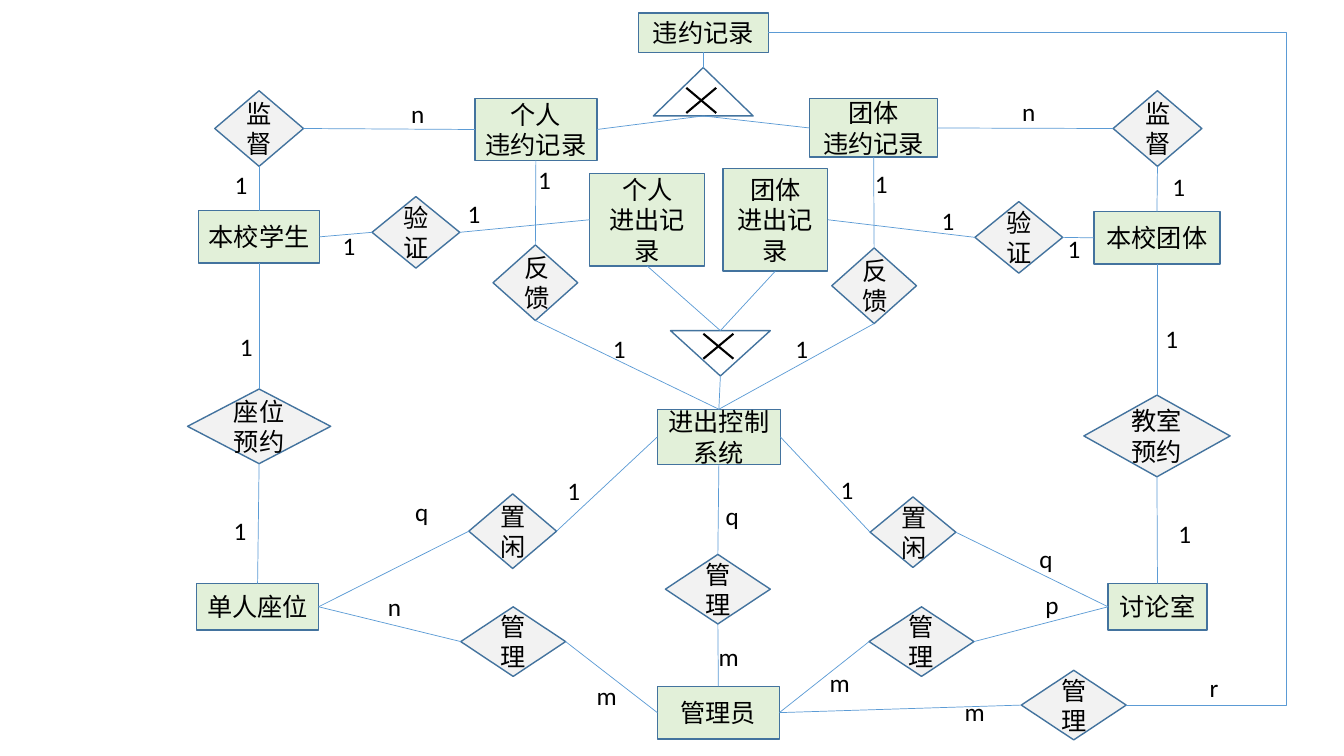
from collections import namedtuple
from lxml import etree
from pptx import Presentation
from pptx import util as u
from pptx.dml.color import RGBColor
from pptx.enum import shapes, text
from pptx.oxml import ns

Box = namedtuple("Box", "left top cell")
KIND = shapes.MSO_SHAPE
TOP, LEFT, BOTTOM, RIGHT = range(4)
ENTITY, RELATION, OUTLINE, LINK, INK = "E2F0D9", "F2F2F2", "43739E", "5B9BD5", "000000"
FONT = {"size": u.Pt(18), "name": "Calibri"}


def colour(fill, hex_value):
    """Make a fill solid in the given colour."""
    fill.solid()
    fill.fore_color.rgb = RGBColor.from_string(hex_value)


def frame(box, x, y, width, height):
    """Turn grid columns and rows inside a box into slide lengths."""
    cells = box.left + x, box.top + y, width, height
    return [u.Inches(cell * box.cell) for cell in cells]


def write(text_frame, words, align):
    """Write lines of text in the diagram's font."""
    text_frame.text = words
    for paragraph in text_frame.paragraphs:
        paragraph.alignment = align
        for key, value in FONT.items():
            setattr(paragraph.font, key, value)
        colour(paragraph.font.fill, INK)


def node(slide, box, kind, fill, words, place):
    """Draw one outlined node of the diagram."""
    part = slide.shapes.add_shape(kind, *frame(box, *place))
    part.shadow.inherit = False
    part.line.width = u.Pt(1)
    colour(part.line.fill, OUTLINE)
    if fill:
        colour(part.fill, fill)
    else:
        part.fill.background()
    if words:
        write(part.text_frame, words, text.PP_ALIGN.CENTER)
    return part


def line(slide, ends, hex_value, points, kind=shapes.MSO_CONNECTOR.STRAIGHT):
    """Draw a flat connector between two points."""
    stroke = slide.shapes.add_connector(kind, *ends)
    stroke.line.width = u.Pt(points)
    colour(stroke.line.fill, hex_value)
    etree.SubElement(stroke._element.spPr, ns.qn("a:effectLst"))
    return stroke


def link(slide, start, start_side, end, end_side, kind=shapes.MSO_CONNECTOR.STRAIGHT):
    """Join two nodes at the given sides."""
    stroke = line(slide, (0, 0, 0, 0), LINK, 0.5, kind)
    stroke.begin_connect(start, start_side)
    stroke.end_connect(end, end_side)
    return stroke


def exclusive(slide, box, kind, place, cross_top, cross_bottom):
    """Draw an exclusive-choice triangle with its cross."""
    x, y, width, height = place
    triangle = node(slide, box, kind, None, "", place)
    left, right = x + 0.33 * width, x + 0.63 * width
    upper, lower = y + cross_top * height, y + cross_bottom * height
    for first, last in ((upper, lower), (lower, upper)):
        ends = frame(box, left, first, 0, 0)[:2] + frame(box, right, last, 0, 0)[:2]
        line(slide, ends, INK, 1.5)
    return triangle


def nodes(slide, box, entities, relations):
    """Place entities and relations and return them by key."""
    placed = {}
    for kind, fill, rows in ((KIND.RECTANGLE, ENTITY, entities), (KIND.DIAMOND, RELATION, relations)):
        for key, words, *place in rows:
            placed[key] = node(slide, box, kind, fill, words, place)
    return placed


def cardinalities(slide, box, rows):
    """Place the cardinality letters of a region."""
    for letter, x, y in rows:
        width = 4 if letter == "m" else 3.4
        label = slide.shapes.add_textbox(*frame(box, x, y, width, 4))
        label.text_frame.word_wrap = False
        label.text_frame.auto_size = text.MSO_AUTO_SIZE.SHAPE_TO_FIT_TEXT
        write(label.text_frame, letter, text.PP_ALIGN.LEFT)


def wing(slide, box, entities, relations, letters):
    """Draw a side column: supervision, member, booking and room."""
    parts = nodes(slide, box, entities, relations)
    column = [parts[key] for key in ("supervise", "member", "booking", "room")]
    for upper, lower in zip(column, column[1:]):
        link(slide, upper, BOTTOM, lower, TOP)
    cardinalities(slide, box, letters)
    return parts


def records(slide, box):
    """Draw the violation and access records with their feedback."""
    parts = nodes(slide, box, [
        ("violation", "违约记录", 17.3, 1.3, 12.9, 3.9),
        ("own violation", "个人\n违约记录", 1.1, 9.8, 12.1, 6.1),
        ("group violation", "团体\n违约记录", 34.3, 9.8, 12.7, 5.8),
        ("own access", "个人\n进出记录", 12.5, 17.2, 11.4, 9.2),
        ("group access", "团体\n进出记录", 25.7, 16.7, 10.4, 10.2),
    ], [
        ("own feedback", "反馈", 2.9, 24.3, 8.4, 7.5),
        ("group feedback", "反馈", 36.5, 24.6, 8.4, 7.5),
    ])
    split = exclusive(slide, box, KIND.FLOWCHART_EXTRACT, (18.8, 6.7, 9.9, 4.8), 0.42, 0.94)
    merge = exclusive(slide, box, KIND.FLOWCHART_MERGE, (20.5, 32.8, 9.9, 4.5), 0.07, 0.62)
    link(slide, parts["violation"], BOTTOM, split, TOP)
    for owner, inner in (("own", RIGHT), ("group", LEFT)):
        violation = parts[owner + " violation"]
        link(slide, violation, inner, split, BOTTOM)
        link(slide, violation, BOTTOM, parts[owner + " feedback"], TOP)
        link(slide, parts[owner + " access"], BOTTOM, merge, TOP)
    cardinalities(slide, box, [
        ("1", 6.4, 15.8), ("1", 39.8, 16.2), ("1", 13.8, 32.6), ("1", 31.9, 32.6),
    ])
    return {**parts, "merge": merge}


def management(slide, box):
    """Draw the access control system, the manager and their relations."""
    parts = nodes(slide, box, [
        ("control", "进出控制系统", 20.2, 0, 12.2, 5.5),
        ("manager", "管理员", 20.2, 27.5, 12.1, 5.2),
    ], [
        ("left idle", "置闲", 1.5, 8.4, 8.7, 7.4),
        ("right idle", "置闲", 41.3, 8.7, 8.5, 7),
        ("system care", "管理", 21, 14.4, 10.4, 6.9),
        ("left care", "管理", 0.7, 19.6, 10.4, 6.9),
        ("right care", "管理", 41.2, 19.6, 10.4, 6.9),
        ("record care", "管理", 56.3, 25.9, 10.4, 6.9),
    ])
    control, manager = parts["control"], parts["manager"]
    link(slide, control, BOTTOM, parts["system care"], TOP)
    link(slide, parts["system care"], BOTTOM, manager, TOP)
    for side, outer, inner in (("left", LEFT, RIGHT), ("right", RIGHT, LEFT)):
        link(slide, control, outer, parts[side + " idle"], inner)
        link(slide, manager, outer, parts[side + " care"], inner)
    link(slide, manager, RIGHT, parts["record care"], LEFT)
    cardinalities(slide, box, [
        ("1", 10.3, 6.1), ("q", -4.8, 8.1), ("1", 37.4, 6), ("q", 57.1, 12.8),
        ("q", 26, 8.5), ("n", -7.5, 17.6), ("p", 57.7, 17.4), ("m", 13.2, 26.4),
        ("m", 25.3, 22.5), ("m", 36.3, 25.1), ("m", 49.7, 28), ("r", 74, 25.6),
    ])
    return parts


def join_regions(slide, student, group, record, care):
    """Draw the links that run from one region to another."""
    for member, owner, side, outer, inner in (
        (student, "own", "left", LEFT, RIGHT),
        (group, "group", "right", RIGHT, LEFT),
    ):
        link(slide, member["supervise"], inner, record[owner + " violation"], outer)
        link(slide, member["member"], inner, member["verify"], outer)
        link(slide, member["verify"], inner, record[owner + " access"], outer)
        link(slide, record[owner + " feedback"], BOTTOM, care["control"], TOP)
        for relation in ("idle", "care"):
            link(slide, care[f"{side} {relation}"], outer, member["room"], inner)
    link(slide, record["merge"], BOTTOM, care["control"], TOP)
    detour = link(slide, record["violation"], RIGHT, care["record care"], RIGHT, shapes.MSO_CONNECTOR.ELBOW)
    geometry = detour._element.spPr.find(ns.qn("a:prstGeom"))
    guides = geometry.find(ns.qn("a:avLst"))
    etree.SubElement(guides, ns.qn("a:gd"), name="adj1", fmla="val 144700")


def build():
    """Build the seat and room booking diagram."""
    deck = Presentation()
    deck.slide_width, deck.slide_height = u.Inches(13.33), u.Inches(7.5)
    slide = deck.slides.add_slide(deck.slide_layouts[6])
    student = wing(slide, Box(18, 9, 0.1), [
        ("member", "本校学生", 1.7, 11.9, 12, 5.2), ("room", "单人座位", 1.5, 48.9, 12.1, 4.6),
    ], [
        ("supervise", "监督", 3.3, 0, 8.8, 7.5), ("booking", "座位预约", 0.6, 29.6, 14.2, 7.4),
        ("verify", "验证", 18.9, 10.5, 8.7, 7.1),
    ], [("n", 21.8, 0.3), ("1", 4.3, 7.3), ("1", 15, 13.4), ("1", 27.4, 10.2), ("1", 4.8, 23.4), ("1", 4.2, 41.6)])
    group = wing(slide, Box(96, 9, 0.1), [
        ("member", "本校团体", 12.5, 12, 12.5, 5.2), ("room", "讨论室", 13.9, 48.9, 9.8, 4.6),
    ], [
        ("supervise", "监督", 14.4, 0, 8.8, 7.5), ("booking", "教室预约", 11.5, 30.2, 14.5, 8.1),
        ("verify", "验证", 0.7, 11, 8.7, 7.1),
    ], [("n", 4.4, 0.1), ("1", 19.3, 7.5), ("1", 8.9, 13.7), ("1", -3.6, 10.9), ("1", 18.6, 22.6), ("1", 19.9, 41.9)])
    record = records(slide, Box(46, 0, 0.1))
    care = management(slide, Box(45, 40.6, 0.1))
    join_regions(slide, student, group, record, care)
    deck.save("out.pptx")


build()
